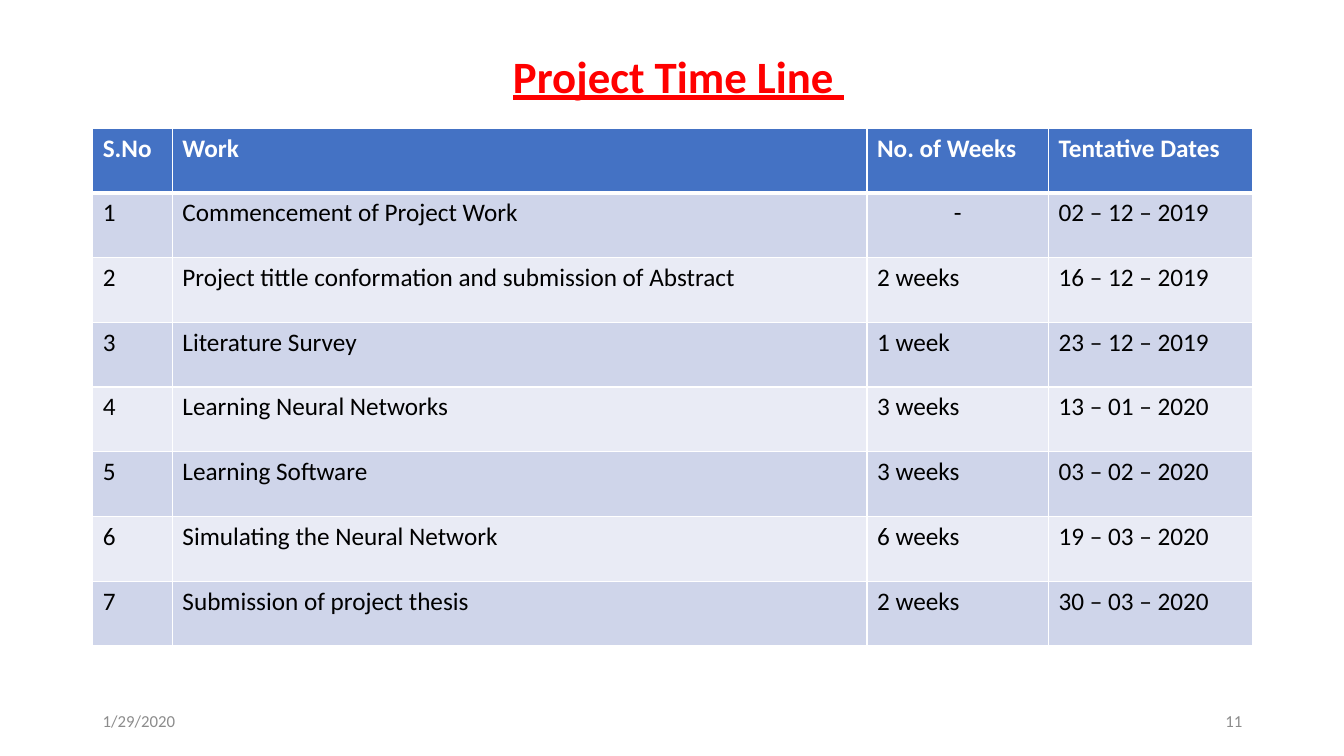
from lxml import etree
from pptx import Presentation
from pptx.dml.color import RGBColor
from pptx.enum.text import MSO_ANCHOR, PP_ALIGN
from pptx.oxml.ns import qn
from pptx.util import Inches, Pt

LEFT, CENTER, RIGHT = PP_ALIGN.LEFT, PP_ALIGN.CENTER, PP_ALIGN.RIGHT
TOP, MIDDLE = MSO_ANCHOR.TOP, MSO_ANCHOR.MIDDLE

FONT = "Calibri"
COLORS = {
    "title": "FF0000",
    "header": "4472C4",
    "band_dark": "CFD5EA",
    "band_light": "E9EBF5",
    "white": "FFFFFF",
    "body": "000000",
    "footer": "8C8C8C",
}

COLUMN_WIDTHS = [0.79, 6.89, 1.8, 2.02]
HEADINGS = ["S.No", "Work", "No. of Weeks", "Tentative Dates"]
TASKS = [
    ("Commencement of Project Work", "-", "02 – 12 – 2019"),
    ("Project tittle conformation and submission of Abstract", "2 weeks", "16 – 12 – 2019"),
    ("Literature Survey", "1 week", "23 – 12 – 2019"),
    ("Learning Neural Networks", "3 weeks", "13 – 01 – 2020"),
    ("Learning Software", "3 weeks", "03 – 02 – 2020"),
    ("Simulating the Neural Network", "6 weeks", "19 – 03 – 2020"),
    ("Submission of project thesis", "2 weeks", "30 – 03 – 2020"),
]


def write_text(text_frame, text, *, size=18, color="body", bold=False,
               underline=False, align=LEFT):
    """Write one formatted paragraph into a text frame."""
    paragraph = text_frame.paragraphs[0]
    paragraph.alignment = align
    run = paragraph.add_run()
    run.text = text
    run.font.name = FONT
    run.font.size = Pt(size)
    run.font.bold = bold
    run.font.underline = underline
    run.font.color.rgb = RGBColor.from_string(COLORS[color])


def add_text(slide, box, text, anchor=TOP, **text_format):
    """Add a wrapping text box at box (left, top, width, height in inches)."""
    text_frame = slide.shapes.add_textbox(*map(Inches, box)).text_frame
    text_frame.word_wrap = True
    text_frame.vertical_anchor = anchor
    write_text(text_frame, text, **text_format)


def set_borders(cell, color, widths):
    """Draw the left, right, top and bottom borders in the given point widths."""
    properties = cell._tc.get_or_add_tcPr()
    for index, (side, width) in enumerate(zip("LRTB", widths)):
        line = etree.Element(qn(f"a:ln{side}"), w=str(Pt(width)))
        fill = etree.SubElement(line, qn("a:solidFill"))
        etree.SubElement(fill, qn("a:srgbClr"), val=COLORS[color])
        properties.insert(index, line)


def add_timeline_table(slide, box):
    """Add the banded table of tasks, with equal row heights filling the box."""
    rows = [HEADINGS] + [(str(number), *task) for number, task in enumerate(TASKS, 1)]
    shape = slide.shapes.add_table(len(rows), len(HEADINGS), *map(Inches, box))
    table = shape.table
    for column, width in zip(table.columns, COLUMN_WIDTHS):
        column.width = Inches(width)
    for row_index, values in enumerate(rows):
        is_header = row_index == 0
        band = "band_dark" if row_index % 2 else "band_light"
        top_width = 3 if row_index == 1 else 1
        bottom_width = 3 if is_header else 1
        for column_index, text in enumerate(values):
            cell = table.cell(row_index, column_index)
            cell.fill.solid()
            cell.fill.fore_color.rgb = RGBColor.from_string(
                COLORS["header" if is_header else band])
            set_borders(cell, "white", (1, 1, top_width, bottom_width))
            write_text(cell.text_frame, text, bold=is_header,
                       color="white" if is_header else "body",
                       align=CENTER if text == "-" else LEFT)


def add_footer(slide, box, date, page):
    """Put the date at the left end of the box and the page number at the right."""
    left, top, width, height = box
    part_width = 3
    for part_left, text, align in ((left, date, LEFT),
                                   (left + width - part_width, page, RIGHT)):
        add_text(slide, (part_left, top, part_width, height), text,
                 anchor=MIDDLE, size=12, color="footer", align=align)


def build_timeline_slide(presentation):
    """Add the project time line slide."""
    slide = presentation.slides.add_slide(presentation.slide_layouts[6])
    add_timeline_table(slide, (0.92, 1.27, 11.5, 5.14))
    add_footer(slide, (0.92, 6.95, 11.5, 0.4), "1/29/2020", "11")
    add_text(slide, (0.92, 0.43, 11.62, 0.64), "Project Time Line ", size=32,
             color="title", bold=True, underline=True, align=CENTER)


presentation = Presentation()
presentation.slide_width = Inches(13.33)
presentation.slide_height = Inches(7.5)
build_timeline_slide(presentation)
presentation.save("out.pptx")
